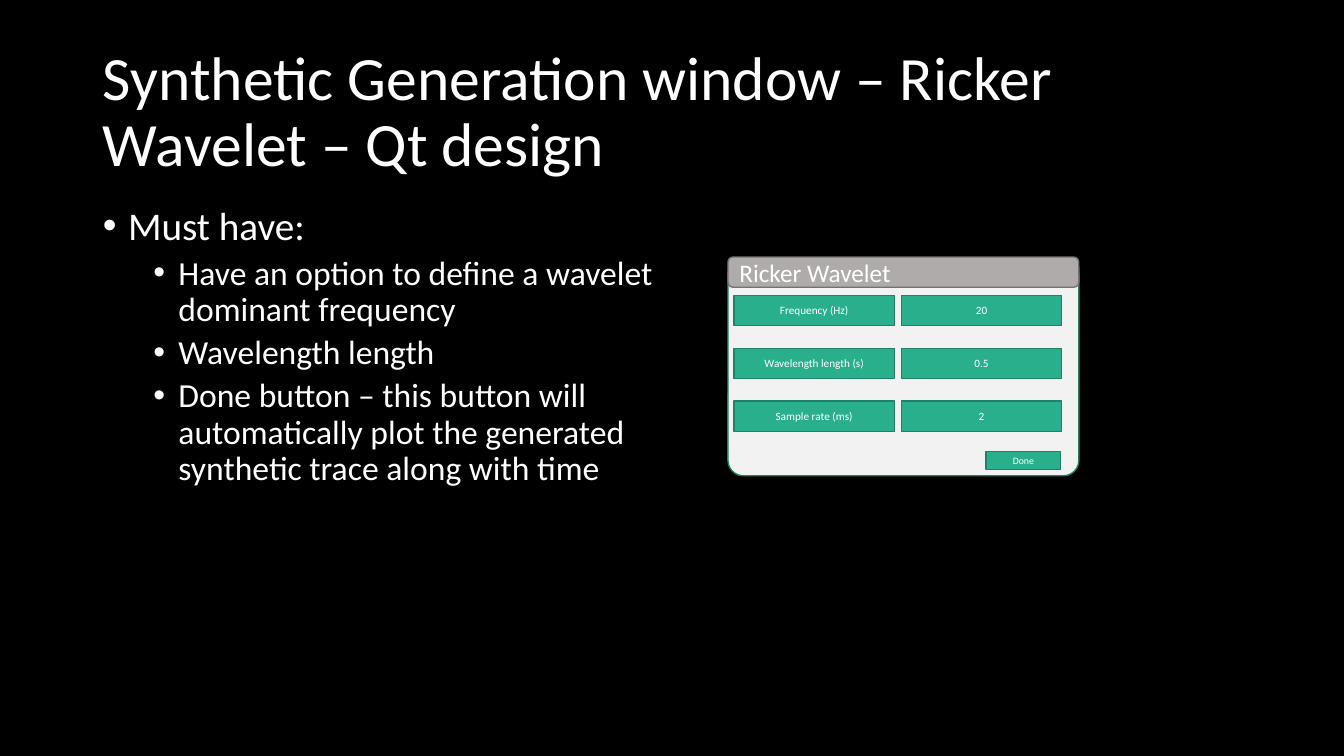
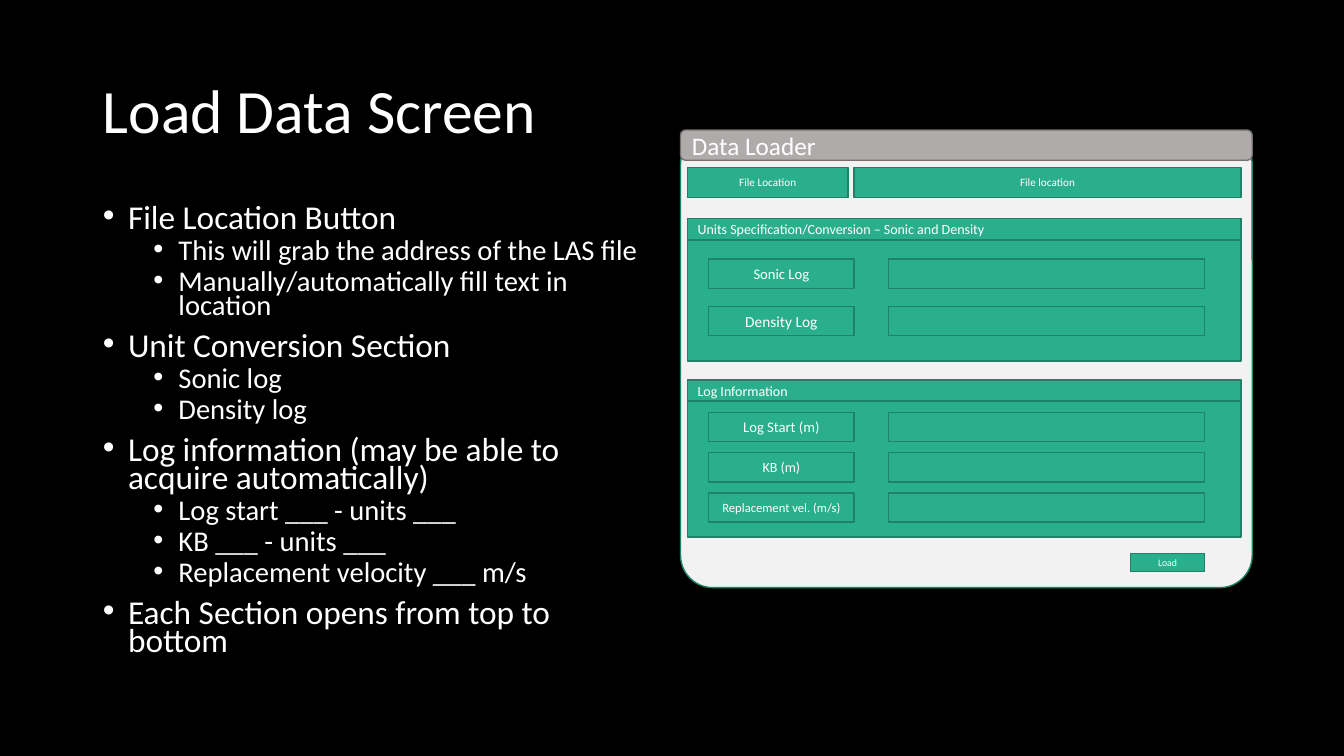
from dataclasses import dataclass

import pptx
import pptx.util
import pptx.dml.color
import pptx.enum.shapes
import pptx.enum.text
import pptx.oxml.ns
from lxml import etree

Inches, Pt = pptx.util.Inches, pptx.util.Pt
SHAPE = pptx.enum.shapes.MSO_SHAPE
ALIGN = pptx.enum.text.PP_ALIGN
ANCHOR = pptx.enum.text.MSO_ANCHOR


@dataclass(frozen=True)
class Theme:
    font: str = "Calibri"
    background: str = "000000"
    text: str = "FFFFFF"
    window: str = "F2F2F2"
    caption: str = "AFABAB"
    caption_edge: str = "767171"
    control: str = "29AF8C"
    edge: str = "1E8168"
    title_size: float = 44
    caption_size: float = 18
    heading_size: float = 10
    field_size: float = 8
    button_size: float = 7


THEME = Theme()
ROW_HEIGHT = 0.3
BOX_HEIGHT = 0.29


def rgb(value):
    return pptx.dml.color.RGBColor.from_string(value)


def add_run(paragraph, text, size):
    run = paragraph.add_run()
    run.text = text
    run.font.name = THEME.font
    run.font.size = Pt(size)
    run.font.color.rgb = rgb(THEME.text)


# Shared page: background and placeholder places, set once for all slides
def prepare_layout(prs):
    prs.slide_width, prs.slide_height = Inches(13.33), Inches(7.5)
    fill = prs.slide_master.background.fill
    fill.solid()
    fill.fore_color.rgb = rgb(THEME.background)
    layout = prs.slide_layouts[1]
    places = {0: (0.92, 0.4, 11.5, 1.45), 1: (0.92, 2, 5.67, 4.76)}
    for index, place in places.items():
        holder = layout.placeholders[index]
        holder.left, holder.top, holder.width, holder.height = map(Inches, place)
    return layout


# Title and bulleted list
def add_page(prs, layout, title, bullets, sizes, line_spacing):
    slide = prs.slides.add_slide(layout)
    title_frame = slide.shapes.title.text_frame
    title_frame.auto_size = pptx.enum.text.MSO_AUTO_SIZE.NONE
    title_frame.vertical_anchor = ANCHOR.MIDDLE
    heading = title_frame.paragraphs[0]
    heading.alignment = ALIGN.LEFT
    heading.line_spacing = 0.9
    add_run(heading, title, THEME.title_size)

    body_frame = slide.placeholders[1].text_frame
    body_frame.auto_size = pptx.enum.text.MSO_AUTO_SIZE.NONE
    for number, (level, text) in enumerate(bullets):
        item = body_frame.add_paragraph() if number else body_frame.paragraphs[0]
        add_bullet(item, level, line_spacing)
        add_run(item, text, sizes[level])
    return slide


def add_bullet(paragraph, level, line_spacing):
    paragraph.level = level
    paragraph.line_spacing = line_spacing
    paragraph.space_before = Pt((10, 5)[level])
    properties = paragraph._p.get_or_add_pPr()
    properties.set("marL", str(Inches((0.25, 0.75)[level])))
    properties.set("indent", str(Inches(-0.25)))
    qn = pptx.oxml.ns.qn
    etree.SubElement(properties, qn("a:buFont")).set("typeface", "Arial")
    etree.SubElement(properties, qn("a:buChar")).set("char", "•")


# Parts of a mock window
def add_box(slide, place, text="", size=THEME.field_size, align=ALIGN.CENTER,
            kind=SHAPE.RECTANGLE, fill=THEME.control, edge=THEME.edge):
    box = slide.shapes.add_shape(kind, *map(Inches, place))
    box.shadow.inherit = False
    box.fill.solid()
    box.fill.fore_color.rgb = rgb(fill)
    box.line.color.rgb = rgb(edge)
    box.line.width = Pt(1)
    if text:
        box.text_frame.word_wrap = True
        box.text_frame.vertical_anchor = ANCHOR.MIDDLE
        paragraph = box.text_frame.paragraphs[0]
        paragraph.alignment = align
        add_run(paragraph, text, size)
    return box


def add_window(slide, left, top, width, height, caption):
    panel = add_box(slide, (left, top + 0.02, width, height - 0.02),
                    kind=SHAPE.ROUNDED_RECTANGLE, fill=THEME.window)
    panel.adjustments[0] = 0.071
    add_box(slide, (left, top, width, ROW_HEIGHT), caption, THEME.caption_size,
            ALIGN.LEFT, SHAPE.ROUNDED_RECTANGLE, THEME.caption, THEME.caption_edge)


def add_button(slide, left, top, text):
    add_box(slide, (left, top, 0.74, 0.18), text, THEME.button_size)


def add_section(slide, top, height, heading, first_row, pitch, labels):
    left, width = 6.82, 5.49
    add_box(slide, (left, top, width, height))
    add_box(slide, (left, top, width, 0.21), heading, THEME.heading_size, ALIGN.LEFT)
    for row, (label, size) in enumerate(labels):
        row_top = first_row + row * pitch
        add_box(slide, (7.03, row_top, 1.44, BOX_HEIGHT), label, size)
        add_box(slide, (8.81, row_top, 3.14, BOX_HEIGHT))


# Slides
def build_wavelet_slide(prs, layout):
    bullets = [
        (0, "Must have:"),
        (1, "Have an option to define a wavelet dominant frequency"),
        (1, "Wavelength length"),
        (1, "Done button – this button will automatically plot the generated "
            "synthetic trace along with time"),
    ]
    slide = add_page(prs, layout,
                     "Synthetic Generation window – Ricker Wavelet – Qt design",
                     bullets, (28, 24), 0.9)
    add_window(slide, 7.22, 2.55, 3.48, 2.17, "Ricker Wavelet")
    fields = [("Frequency (Hz)", "20"), ("Wavelength length (s)", "0.5"),
              ("Sample rate (ms)", "2")]
    for row, pair in enumerate(fields):
        for column, text in enumerate(pair):
            add_box(slide, (7.28 + column * 1.66, 2.93 + row * 0.525,
                            1.59, ROW_HEIGHT), text)
    add_button(slide, 9.78, 4.48, "Done")


def build_loader_slide(prs, layout):
    bullets = [
        (0, "File Location Button"),
        (1, "This will grab the address of the LAS file"),
        (1, "Manually/automatically fill text in location"),
        (0, "Unit Conversion Section"),
        (1, "Sonic log"),
        (1, "Density log"),
        (0, "Log information (may be able to acquire automatically)"),
        (1, "Log start ___ - units ___"),
        (1, "KB ___ - units ___"),
        (1, "Replacement velocity ___ m/s"),
        (0, "Each Section opens from top to bottom"),
    ]
    slide = add_page(prs, layout, "Load Data Screen", bullets, (23.8, 20.4), 0.7)
    add_window(slide, 6.75, 1.29, 5.67, 4.54, "Data Loader")
    add_box(slide, (6.82, 1.66, 1.59, ROW_HEIGHT), "File Location")
    add_box(slide, (8.47, 1.66, 3.84, ROW_HEIGHT), "File location")
    add_button(slide, 11.21, 5.49, "Load")
    add_section(slide, 2.17, 1.41,
                "Units Specification/Conversion – Sonic and Density", 2.57, 0.47,
                [("Sonic Log", 10.5), ("Density Log", 11)])
    add_section(slide, 3.77, 1.56, "Log Information", 4.09, 0.4,
                [("Log Start (m)", 10.5), ("KB (m)", 10),
                 ("Replacement vel. (m/s)", 9)])


def main():
    prs = pptx.Presentation()
    layout = prepare_layout(prs)
    build_wavelet_slide(prs, layout)
    build_loader_slide(prs, layout)
    prs.save("out.pptx")


if __name__ == "__main__":
    main()
